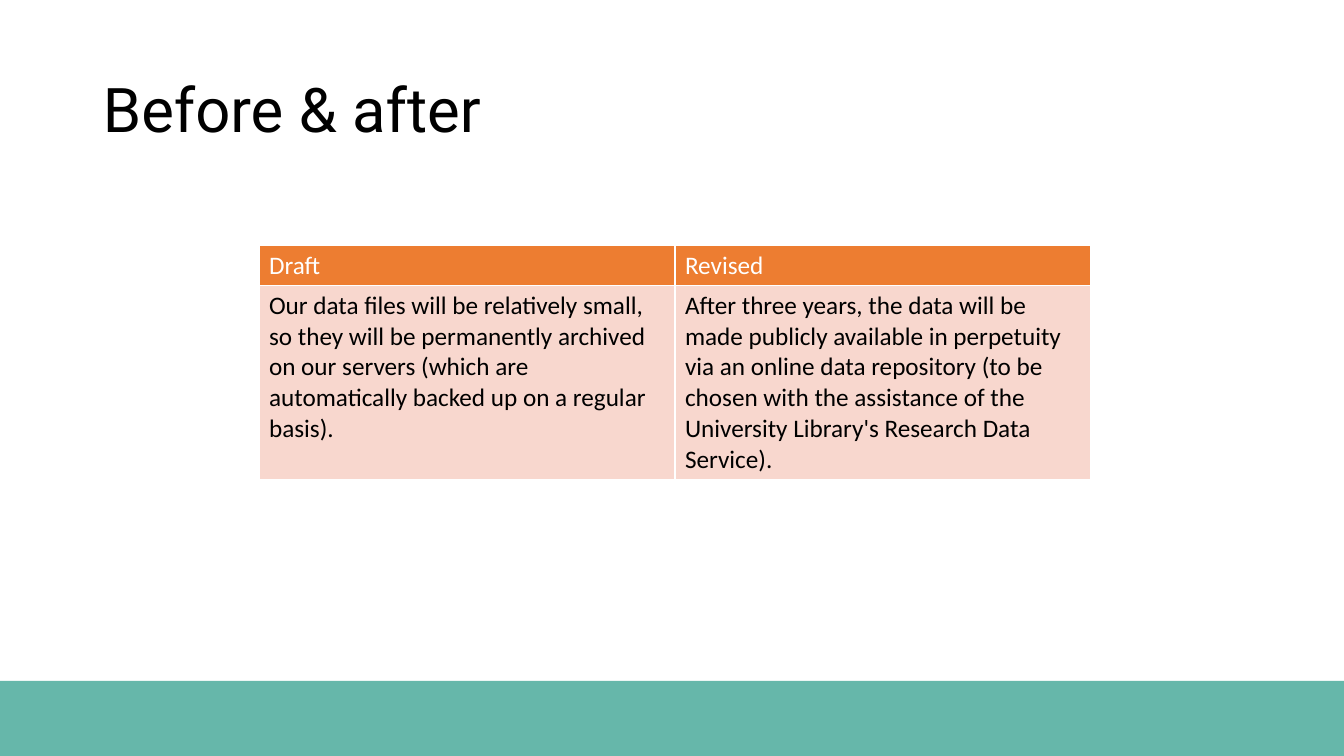
from lxml import etree
from pptx import Presentation
from pptx import util as u
from pptx.dml.color import RGBColor
from pptx.enum import shapes, text
from pptx.oxml.ns import qn

TITLE = "Before & after"
ROWS = [
    ("Draft", "Revised"),
    (
        "Our data files will be relatively small, so they will be permanently "
        "archived on our servers (which are automatically backed up on a regular basis).",
        "After three years, the data will be made publicly available in perpetuity "
        "via an online data repository (to be chosen with the assistance of the "
        "University Library's Research Data Service).",
    ),
]
COLORS = {
    "band": "319F8D",
    "header": "ED7D31",
    "body": "F8D7CE",
    "white": "FFFFFF",
    "black": "000000",
}
ROW_STYLES = [("header", "white"), ("body", "black")]
SLIDE_SIZE = (1344, 756)
BAND_TOP = 681
BAND_ALPHA = 74
TITLE_BOX = (93, 40, 1159, 146)
TABLE_ORIGIN = (259, 245)
COLUMN_WIDTH = 416
ROW_HEIGHTS = [40, 194]
BORDER_WIDTH = u.Pt(1)
EMU_PER_PX = 914400 / 100.8


def px(*lengths):
    return [u.Emu(round(length * EMU_PER_PX)) for length in lengths]


def color(name):
    return RGBColor.from_string(COLORS[name])


def paint(fill, name):
    fill.solid()
    fill.fore_color.rgb = color(name)


def write(frame, words, font_name, size, color_name):
    frame.word_wrap = True
    paragraph = frame.paragraphs[0]
    run = paragraph.add_run()
    run.text = words
    run.font.color.rgb = color(color_name)
    for key, value in {"name": font_name, "size": u.Pt(size), "bold": False}.items():
        setattr(run.font, key, value)
    return paragraph


def add_borders(cell):
    properties = cell._tc.get_or_add_tcPr()
    for position, side in enumerate(("a:lnL", "a:lnR", "a:lnT", "a:lnB")):
        line = etree.Element(qn(side), w=str(BORDER_WIDTH))
        fill = etree.SubElement(line, qn("a:solidFill"))
        etree.SubElement(fill, qn("a:srgbClr"), val=COLORS["white"])
        properties.insert(position, line)


def add_band(slide):
    width, height = SLIDE_SIZE
    band = slide.shapes.add_shape(
        shapes.MSO_SHAPE.RECTANGLE, *px(0, BAND_TOP, width, height - BAND_TOP)
    )
    band.shadow.inherit = False
    band.line.fill.background()
    paint(band.fill, "band")
    tint = band._element.spPr.find(qn("a:solidFill")).find(qn("a:srgbClr"))
    etree.SubElement(tint, qn("a:alpha"), val=str(BAND_ALPHA * 1000))


def add_title(slide):
    frame = slide.shapes.add_textbox(*px(*TITLE_BOX)).text_frame
    frame.vertical_anchor = text.MSO_ANCHOR.MIDDLE
    paragraph = write(frame, TITLE, "Roboto", 44, "black")
    paragraph.line_spacing = 0.9


def add_comparison(slide):
    columns = len(ROWS[0])
    size = (COLUMN_WIDTH * columns, sum(ROW_HEIGHTS))
    table = slide.shapes.add_table(len(ROWS), columns, *px(*TABLE_ORIGIN, *size)).table
    for column in table.columns:
        column.width = px(COLUMN_WIDTH)[0]
    for row, height, words, (fill_name, font_color) in zip(
        table.rows, ROW_HEIGHTS, ROWS, ROW_STYLES
    ):
        row.height = px(height)[0]
        for cell, content in zip(row.cells, words):
            paint(cell.fill, fill_name)
            add_borders(cell)
            write(cell.text_frame, content, "Calibri", 18, font_color)


def main():
    presentation = Presentation()
    presentation.slide_width, presentation.slide_height = px(*SLIDE_SIZE)
    slide = presentation.slides.add_slide(presentation.slide_layouts[6])
    paint(slide.background.fill, "white")
    add_band(slide)
    add_title(slide)
    add_comparison(slide)
    presentation.save("out.pptx")


if __name__ == "__main__":
    main()
